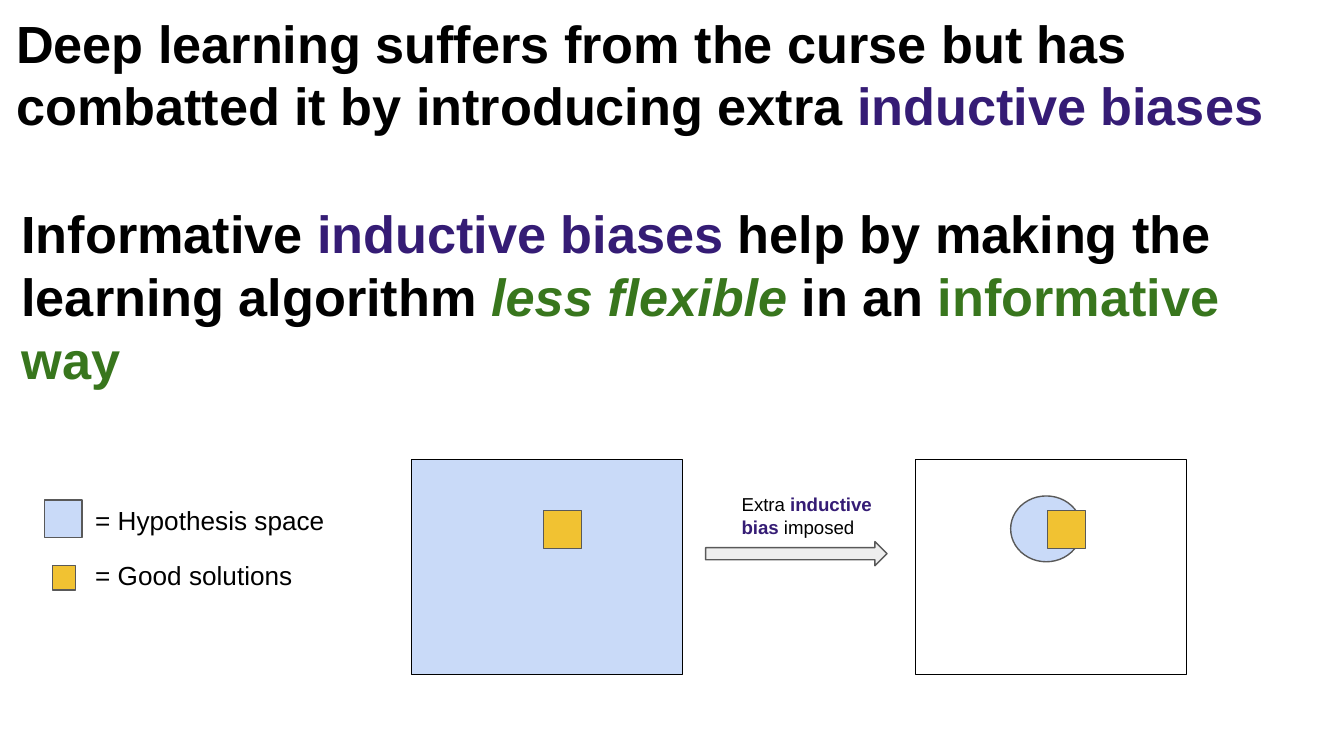
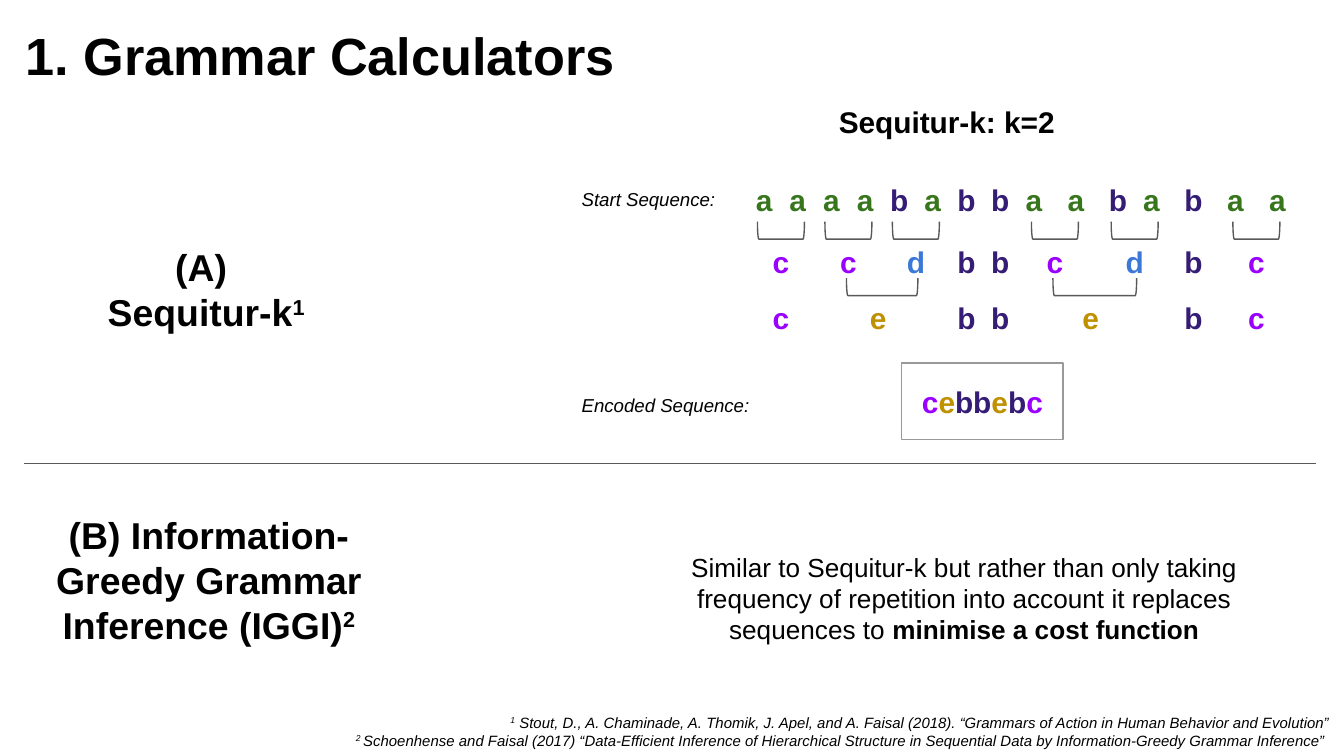
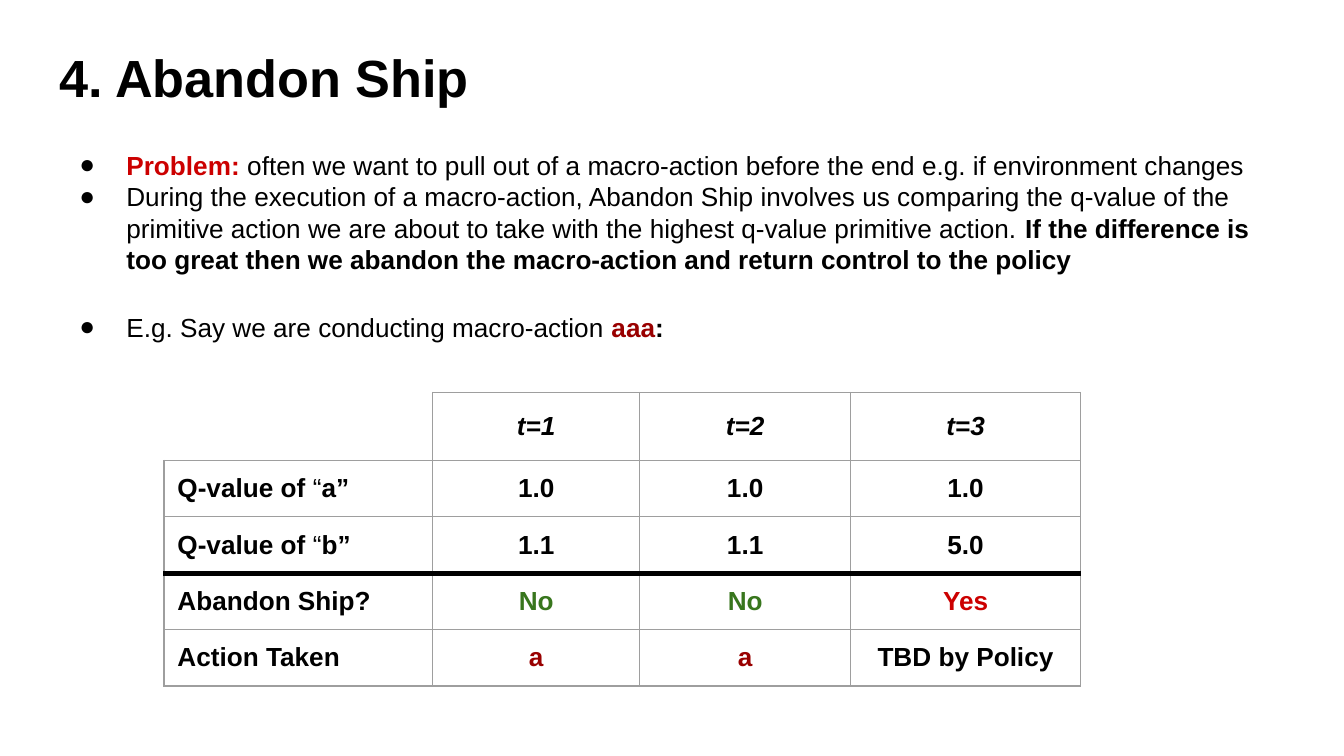
from lxml import etree
from pptx import Presentation
from pptx.dml.color import RGBColor
from pptx.enum.shapes import MSO_CONNECTOR, MSO_SHAPE
from pptx.enum.text import MSO_ANCHOR, MSO_AUTO_SIZE, PP_ALIGN
from pptx.oxml.ns import qn
from pptx.util import Inches, Pt

RECT, OVAL = MSO_SHAPE.RECTANGLE, MSO_SHAPE.OVAL
ARROW, BRACKET = MSO_SHAPE.RIGHT_ARROW, MSO_SHAPE.RIGHT_BRACKET
LEFT, MID, RIGHT = PP_ALIGN.LEFT, PP_ALIGN.CENTER, PP_ALIGN.RIGHT
TOP, CENTRE = MSO_ANCHOR.TOP, MSO_ANCHOR.MIDDLE
NO_FIT = MSO_AUTO_SIZE.NONE

FONT = "Arial"
HEX = {
    "black": "000000", "grey": "595959", "pale": "EEEEEE", "frame": "999999",
    "rule": "9E9E9E", "sky": "C9DAF8", "gold": "F1C232", "indigo": "351C75",
    "green": "38761D", "violet": "9900FF", "blue": "3C78D8",
    "ochre": "BF9000", "red": "CC0000", "wine": "990000",
}
RGB = {name: RGBColor.from_string(code) for name, code in HEX.items()}
INK = {"a": "green", "b": "indigo", "c": "violet", "d": "blue", "e": "ochre"}

deck = Presentation()
deck.slide_width, deck.slide_height = Inches(10), Inches(5.625)
UNIT = deck.slide_width // 100  # square grid, 100 columns wide
PAD = UNIT


def put(slide, kind, spot, fill=None, line="grey", slot=None):
    """Place a preset shape, a text box (kind None) or a placeholder (slot)."""
    spot = [round(v * UNIT) for v in spot]
    if slot is not None:
        item = slide.placeholders[slot]
        item.left, item.top, item.width, item.height = spot
    elif kind is None:
        item = slide.shapes.add_textbox(*spot)
    else:
        item = slide.shapes.add_shape(kind, *spot)
        item.shadow.inherit = False
        item.line.color.rgb = RGB[line]
        item.line.width = Pt(0.75)
        if fill:
            item.fill.solid()
            item.fill.fore_color.rgb = RGB[fill]
        else:
            item.fill.background()
    return item


def write(frame, paras, size, align=LEFT, anchor=TOP, bullet=False):
    """Fill a frame; a run is (text, colour, style), style of b, i and ^."""
    frame.word_wrap, frame.auto_size = True, NO_FIT
    frame.vertical_anchor = anchor
    frame.margin_left = frame.margin_right = PAD
    frame.margin_top = frame.margin_bottom = PAD
    for n, runs in enumerate(paras):
        para = frame.add_paragraph() if n else frame.paragraphs[0]
        para.alignment, para.line_spacing = align, 1.0
        para.space_before = para.space_after = Pt(0)
        props = para._p.get_or_add_pPr()
        props.set("marL", str(5 * UNIT if bullet else 0))
        props.set("indent", str(round(-3.5 * UNIT) if bullet else 0))
        if bullet:
            tint = etree.SubElement(props, qn("a:buClr"))
            etree.SubElement(tint, qn("a:srgbClr"), val=HEX["black"])
            etree.SubElement(props, qn("a:buFont"), typeface=FONT)
            etree.SubElement(props, qn("a:buChar"), char="●")
        else:
            etree.SubElement(props, qn("a:buNone"))
        for text, ink, style in runs:
            run = para.add_run()
            run.text = text
            font = run.font
            font.name, font.size, font.color.rgb = FONT, Pt(size), RGB[ink]
            font.bold, font.italic = "b" in style, "i" in style
            if "^" in style:
                run._r.get_or_add_rPr().set("baseline", "30000")


# Slide 1: inductive biases
page = deck.slides.add_slide(deck.slide_layouts[1])
claims = [
    ((0.2, -0.2, 97.4, 6.3), [
        ("Deep learning suffers from the curse but has combatted it by introducing extra ", "black", "b"),
        ("inductive biases", "indigo", "b")]),
    ((0.6, 14, 99.5, 6.3), [
        ("Informative ", "black", "b"),
        ("inductive biases ", "indigo", "b"),
        ("help by making the learning algorithm ", "black", "b"),
        ("less flexible", "green", "bi"),
        (" in an ", "black", "b"),
        ("informative way", "green", "b")]),
]
for slot, (spot, runs) in enumerate(claims):
    write(put(page, None, spot, slot=slot).text_frame, [runs], 28)

for x, fill in ((30.6, "sky"), (68.1, None)):
    put(page, RECT, (x, 34.2, 20.2, 16), fill, "black")
    if not fill:
        put(page, OVAL, (x + 7.1, 36.9, 5.3, 4.9), "sky")
    put(page, RECT, (x + 9.85, 38, 2.8, 2.8), "gold")

put(page, RECT, (3.3, 37.2, 2.8, 2.8), "sky")
put(page, RECT, (3.9, 42.1, 1.7, 1.8), "gold")
for y, label in ((36.5, "= Hypothesis space"), (40.6, "= Good solutions")):
    write(put(page, None, (6.1, y, 20.2, 2.8)).text_frame, [[(label, "black", "")]], 14)

put(page, ARROW, (52.5, 40.3, 13.5, 1.8), "pale")
write(put(page, None, (54.2, 35.7, 12.4, 4.9)).text_frame, [[
    ("Extra ", "black", ""),
    ("inductive bias", "indigo", "b"),
    (" imposed", "black", "")]], 10)

# Slide 2: grammar calculators
page = deck.slides.add_slide(deck.slide_layouts[5])
write(put(page, None, (0.9, 0.7, 93.2, 6.3), slot=0).text_frame,
      [[("1. Grammar Calculators", "black", "b")]], 28)

heads = [
    ((51.5, 6.2, 37.9, 5.7), 16, [[("Sequitur-k: k=2", "black", "b")]]),
    ((2, 14.6, 26.7, 13.8), 20, [
        [("(A) ", "black", "b")],
        [("Sequitur-k", "black", "b"), ("1", "black", "b^")]]),
    ((0.8, 36.2, 29.5, 13.8), 20, [[
        ("(B) Information-Greedy Grammar Inference (IGGI)", "black", "b"),
        ("2", "black", "b^")]]),
]
for spot, size, paras in heads:
    write(put(page, None, spot).text_frame, paras, size, MID, CENTRE)

rule = page.shapes.add_connector(
    MSO_CONNECTOR.STRAIGHT, *[round(v * UNIT) for v in (1.8, 34.5, 97.9, 34.5)])
rule.line.color.rgb, rule.line.width = RGB["grey"], Pt(0.75)
etree.SubElement(rule._element.spPr, qn("a:effectLst"))

write(put(page, None, (50.2, 40, 43.1, 6.3)).text_frame, [[
    ("Similar to Sequitur-k but rather than only taking frequency of repetition "
     "into account it replaces sequences to ", "black", ""),
    ("minimise a cost function", "black", "b")]], 14, MID)
write(put(page, None, (1, 52.1, 99, 3.3)).text_frame, [
    [("1", "black", "i^"),
     (" Stout, D., A. Chaminade, A. Thomik, J. Apel, and A. Faisal (2018). "
      "“Grammars of Action in Human Behavior and Evolution”", "black", "i")],
    [("2 ", "black", "i^"),
     ("Schoenhense and Faisal (2017) “Data-Efficient Inference of Hierarchical Structure "
      "in Sequential Data by Information-Greedy Grammar Inference” ", "black", "i")],
], 8, RIGHT)
for y, w, label in ((13, 12.5, "Start Sequence:"), (28.3, 16.4, "Encoded Sequence:")):
    write(put(page, None, (42.3, y, w, 3.8)).text_frame, [[(label, "black", "i")]], 10)

# Letter centres: later gaps in the sequence are wider
start = "aaaababbaababaa"
cols = [56.85]
for n in range(1, len(start)):
    cols.append(cols[-1] + (3.12 if n in (9, 10, 12, 13, 14) else 2.51))

# Each letter is (centre, top, letter); the three rows share the columns
first, second, third = 13.55, 18.2, 22.3
marks = [(x, first, char) for x, char in zip(cols, start)]
marks += [(cols[n], y, "b") for y in (second, third) for n in (6, 7, 12)]

pairs = [(0, "c"), (2, "c"), (4, "d"), (8, "c"), (10, "d"), (13, "c")]
mids = [(cols[n] + cols[n + 1]) / 2 for n, _ in pairs]
marks += [(x, second, char) for x, (_, char) in zip(mids, pairs)]
marks += [(mids[n], third, "c") for n in (0, 5)]
hooks = [(x, 17.15, 3.5) for x in mids]
for n in (1, 3):
    x = (mids[n] + mids[n + 1]) / 2
    marks.append((x - 0.3, third, "e"))
    hooks.append((x, 21.35, mids[n + 1] - mids[n] + 0.3))

for x, y, char in marks:
    write(put(page, None, (x - 1.65, y, 3.3, 2.6)).text_frame,
          [[(char, INK[char], "b")]], 16, MID, CENTRE)
for x, y, span in hooks:
    put(page, BRACKET, (x - 0.65, y - span / 2, 1.3, span)).rotation = 90

code = [(part, INK[part[0]], "b") for part in ("c", "e", "bb", "e", "b", "c")]
write(put(page, RECT, (67.1, 27, 12, 5.7), line="frame").text_frame, [code], 16, MID, CENTRE)

# Slide 3: abandon ship
page = deck.slides.add_slide(deck.slide_layouts[3])
write(put(page, None, (3.4, 2.4, 93.2, 6.3), slot=0).text_frame,
      [[("4. Abandon Ship", "black", "b")]], 28)
write(put(page, None, (3.4, 10.1, 93.2, 10.6), slot=1).text_frame, [
    [("Problem:", "red", "b"),
     (" often we want to pull out of a macro-action before the end e.g. "
      "if environment changes", "black", "")],
    [("During the execution of a macro-action, Abandon Ship involves us comparing the "
      "q-value of the primitive action we are about to take with the highest q-value "
      "primitive action. ", "black", ""),
     ("If the difference is too great then we abandon the macro-action and return "
      "control to the policy", "black", "b")],
], 14, bullet=True)
case = put(page, None, (3.4, 19.9, 93.2, 4.2), slot=2).text_frame
write(case, [[
    ("E.g. Say we are conducting macro-action ", "black", ""),
    ("aaa", "wine", "b"),
    (":", "black", "b")]], 14, bullet=True)
case.margin_top = round(3.3 * UNIT)

rows = [
    ["", "t=1", "t=2", "t=3"],
    ["a", "1.0", "1.0", "1.0"],
    ["b", "1.1", "1.1", "5.0"],
    ["Abandon Ship?", "No", "No", "Yes"],
    ["Action Taken", "a", "a", "TBD by Policy"],
]
tint = {"No": "green", "Yes": "red", "a": "wine"}
wide, high = [20, 15.4, 15.7, 17.1], [4.3, 4.2, 4.2, 4.2, 4.2]
spot = (12.2, 29.2, sum(wide), sum(high))
grid = page.shapes.add_table(len(rows), len(wide), *[round(v * UNIT) for v in spot]).table
grid.first_row = grid.horz_banding = False
for col, w in zip(grid.columns, wide):
    col.width = round(w * UNIT)
for row, h in zip(grid.rows, high):
    row.height = round(h * UNIT)

for r, row in enumerate(rows):
    for c, text in enumerate(row):
        cell = grid.cell(r, c)
        cell.vertical_anchor = CENTRE
        cell.margin_left = cell.margin_right = PAD
        cell.margin_top = cell.margin_bottom = PAD
        props = cell._tc.get_or_add_tcPr()
        for side in "LRTB":
            thick = (r, side) in ((2, "B"), (3, "T"))
            edge = etree.SubElement(props, qn("a:ln" + side), w=str(Pt(3 if thick else 0.75)))
            if r == c == 0 and side in "LT":
                etree.SubElement(edge, qn("a:noFill"))
            else:
                fill = etree.SubElement(edge, qn("a:solidFill"))
                etree.SubElement(fill, qn("a:srgbClr"), val=HEX["black" if thick else "rule"])
        cell.fill.background()
        if not text:
            continue
        if c == 0 and r in (1, 2):
            runs = [("Q-value of", "black", "b"), (" “", "black", ""), (text + "”", "black", "b")]
        else:
            ink = tint.get(text, "black")
            runs = [(text, ink, "b" if r else "bi")]
        write(cell.text_frame, [runs], 14, MID if c else LEFT)

deck.save("out.pptx")
